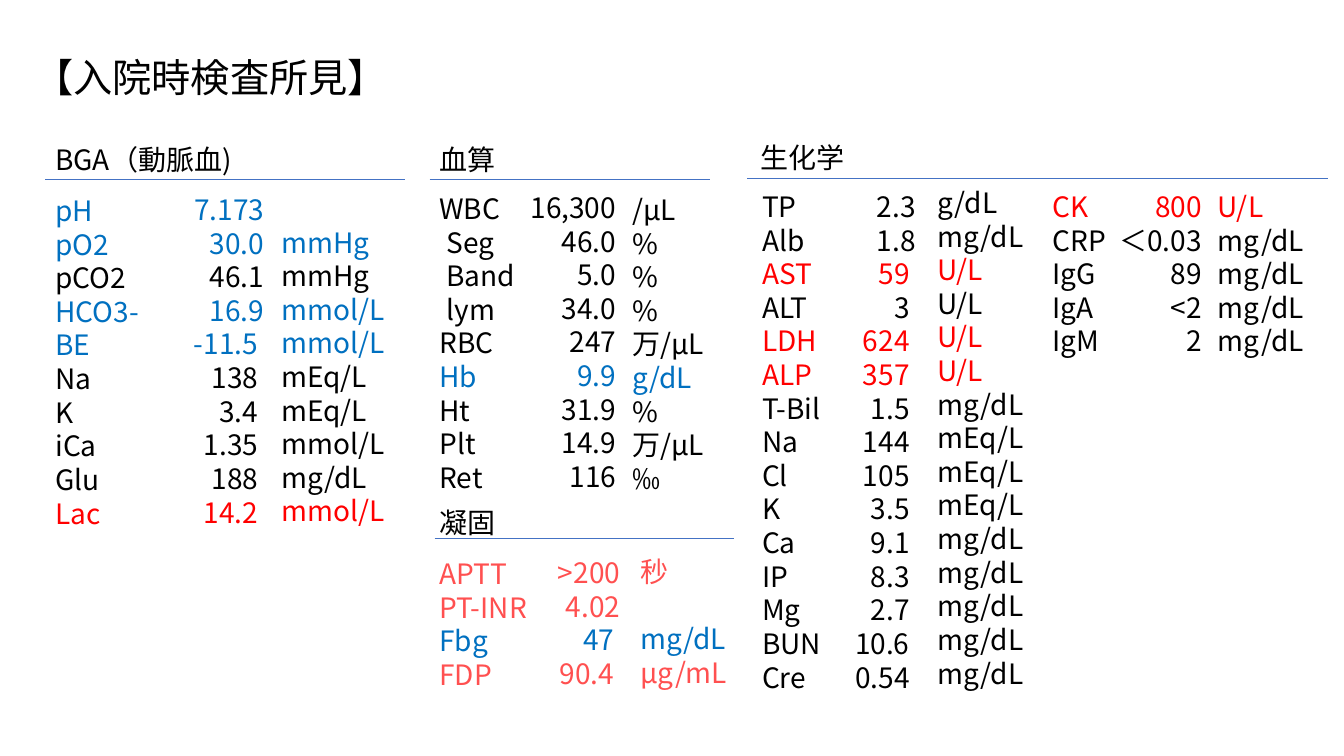
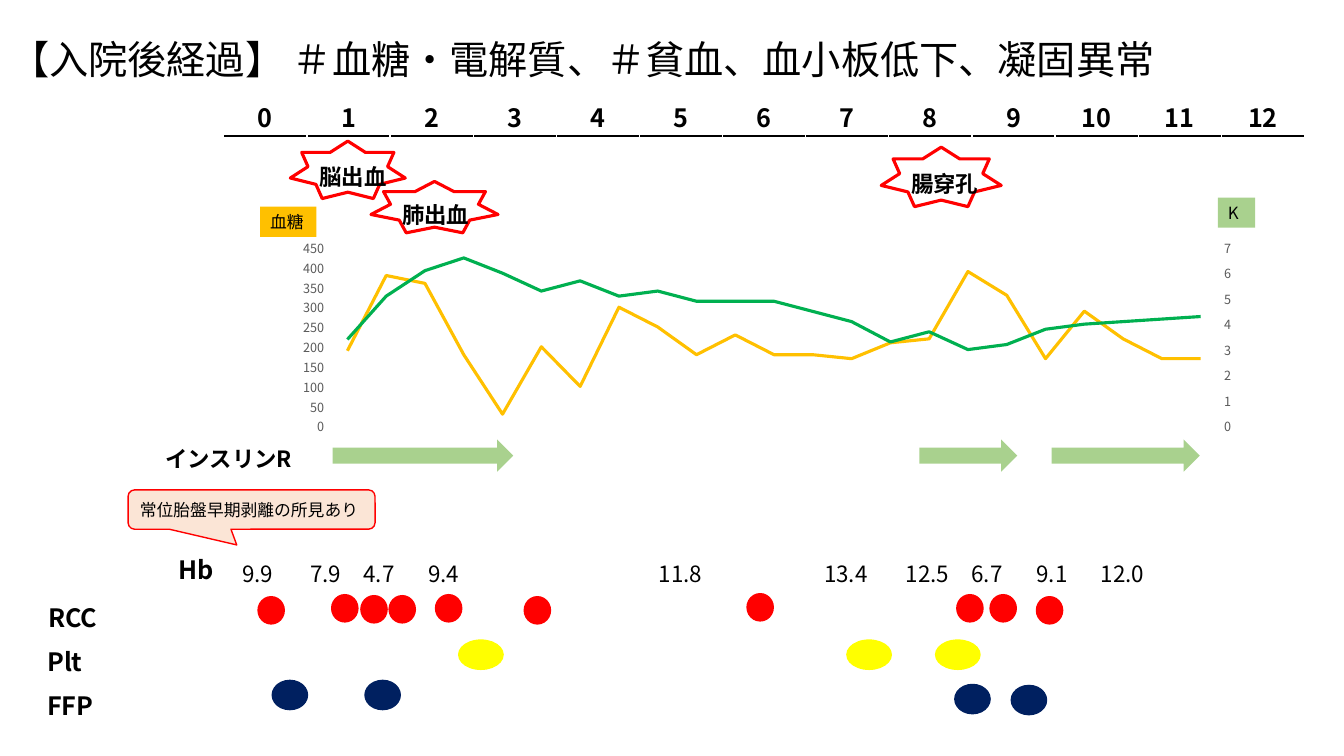
"""Build two clinical slides: laboratory findings on admission and the hospital course."""
from copy import deepcopy
from dataclasses import dataclass

from lxml import etree
from pptx import Presentation
from pptx.chart.data import CategoryChartData
from pptx.dml.color import RGBColor
from pptx.enum.chart import XL_CHART_TYPE, XL_TICK_MARK
from pptx.enum.shapes import MSO_CONNECTOR, MSO_SHAPE
from pptx.enum.text import MSO_ANCHOR, MSO_AUTO_SIZE, PP_ALIGN
from pptx.oxml import parse_xml
from pptx.oxml.ns import nsdecls, qn
from pptx.util import Inches, Pt

LEFT, CENTER, RIGHT = PP_ALIGN.LEFT, PP_ALIGN.CENTER, PP_ALIGN.RIGHT
TOP, MIDDLE, BOTTOM = MSO_ANCHOR.TOP, MSO_ANCHOR.MIDDLE, MSO_ANCHOR.BOTTOM
ELLIPSE, ARROW, STAR = MSO_SHAPE.OVAL, MSO_SHAPE.RIGHT_ARROW, MSO_SHAPE.STAR_7_POINT
RECTANGLE, CALLOUT = MSO_SHAPE.RECTANGLE, MSO_SHAPE.ROUNDED_RECTANGULAR_CALLOUT
STRAIGHT = MSO_CONNECTOR.STRAIGHT
LINE_CHART = XL_CHART_TYPE.LINE
NO_TICKS = XL_TICK_MARK.NONE
NO_RESIZE = MSO_AUTO_SIZE.NONE

FONT = "Noto Sans CJK JP"
BLACK, RED, CORAL, BLUE = "000000", "FF0000", "FF5050", "0070C0"
RULE_BLUE, NAVY, YELLOW = "4472C4", "002060", "FFFF00"
GREEN, LIGHT_GREEN, AMBER, PEACH, GREY = "00B050", "A9D18E", "FFC000", "FBE5D6", "595959"
LAB_SIZE = 20
LINE_PITCH = 1.2

Box = tuple[float, float, float, float]


@dataclass(frozen=True)
class Line:
    """One line of text with its colour, indents and skipped rows before it."""
    text: str
    color: str = BLACK
    indent: float = 0
    right_indent: float = 0
    skipped: int = 0


@dataclass(frozen=True)
class Test:
    """One laboratory result."""
    name: str
    value: str
    unit: str
    color: str = BLACK
    indent: float = 0
    right_indent: float = 0


@dataclass(frozen=True)
class Panel:
    """A group of results; each column is left, top, width."""
    names: tuple[float, float, float]
    values: tuple[float, float, float]
    units: tuple[float, float, float]
    tests: tuple[Test, ...]
    heading: str = ""
    heading_at: tuple[float, float] = (0, 0)
    rule: tuple[float, float, float] = (0, 0, 0)


@dataclass(frozen=True)
class Transfusion:
    """A blood product with the places of its units."""
    label: str
    label_at: tuple[float, float]
    color: str
    size: tuple[float, float]
    units: tuple[tuple[float, float], ...]


PANELS = (
    Panel((0.45, 1.86, 1.21), (1.28, 1.85, 1.44), (2.69, 1.84, 1.45), (
        Test("pH", "7.173", "", BLUE), Test("pO2", "30.0", "mmHg", BLUE),
        Test("pCO2", "46.1", "mmHg"), Test("HCO3-", "16.9", "mmol/L", BLUE),
        Test("BE", "-11.5", "mmol/L", BLUE, right_indent=0.06),
        Test("Na", "138", "mEq/L"), Test("K", "3.4", "mEq/L"),
        Test("iCa", "1.35", "mmol/L"), Test("Glu", "188", "mg/dL"),
        Test("Lac", "14.2", "mmol/L", RED),
    ), "BGA（動脈血)", (0.45, 1.35), (0.45, 4.02, 1.78)),
    Panel((4.26, 1.84, 1.2), (4.97, 1.83, 1.24), (6.17, 1.85, 1.48), (
        Test("WBC", "16,300", "/μL"), Test("Seg", "46.0", "%", indent=0.07),
        Test("Band", "5.0", "%", indent=0.07), Test("lym", "34.0", "%", indent=0.07),
        Test("RBC", "247", "万/μL"), Test("Hb", "9.9", "g/dL", BLUE),
        Test("Ht", "31.9", "%"), Test("Plt", "14.9", "万/μL"), Test("Ret", "116", "‰"),
    ), "血算", (4.26, 1.35), (4.26, 7.04, 1.78)),
    Panel((4.26, 5.46, 1.2), (4.95, 5.45, 1.3), (6.25, 5.44, 1.55), (
        Test("APTT", ">200", "秒", CORAL), Test("PT-INR", "4.02", "", CORAL),
        Test("Fbg", "47", "mg/dL", BLUE, right_indent=0.06),
        Test("FDP", "90.4", "μg/mL", CORAL),
    ), "凝固", (4.26, 4.96), (4.31, 7.28, 5.34)),
    Panel((7.46, 1.82, 1.45), (8.24, 1.82, 0.94), (9.2, 1.78, 1.11), (
        Test("TP", "2.3", "g/dL"), Test("Alb", "1.8", "mg/dL"),
        Test("AST", "59", "U/L", RED, right_indent=0.06), Test("ALT", "3", "U/L"),
        Test("LDH", "624", "U/L", RED), Test("ALP", "357", "U/L", RED),
        Test("T-Bil", "1.5", "mg/dL"), Test("Na", "144", "mEq/L"),
        Test("Cl", "105", "mEq/L"), Test("K", "3.5", "mEq/L"),
        Test("Ca", "9.1", "mg/dL"), Test("IP", "8.3", "mg/dL"),
        Test("Mg", "2.7", "mg/dL"), Test("BUN", "10.6", "mg/dL"),
        Test("Cre", "0.54", "mg/dL"),
    ), "生化学", (7.44, 1.33), (7.41, 13.17, 1.77)),
    Panel((10.34, 1.82, 1.42), (10.92, 1.82, 1.1), (11.98, 1.82, 1.23), (
        Test("CK", "800", "U/L", RED), Test("CRP", "＜0.03", "mg/dL"),
        Test("IgG", "89", "mg/dL"), Test("IgA", "<2", "mg/dL"), Test("IgM", "2", "mg/dL"),
    )),
)

TRANSFUSIONS = (
    Transfusion("RCC", (0.38, 5.92), RED, (0.26, 0.27), (
        (2.56, 5.92), (3.29, 5.9), (3.58, 5.91), (3.86, 5.91), (4.32, 5.9),
        (5.2, 5.92), (7.41, 5.89), (9.49, 5.9), (9.82, 5.9), (10.28, 5.92))),
    Transfusion("Plt", (0.37, 6.35), YELLOW, (0.44, 0.29),
                ((4.55, 6.35), (8.4, 6.35), (9.28, 6.35))),
    Transfusion("FFP", (0.37, 6.79), NAVY, (0.35, 0.29),
                ((2.7, 6.75), (3.62, 6.75), (9.47, 6.79), (10.03, 6.8))),
)

EVENTS = (
    ("肺出血", (3.68, 1.8, 1.26, 0.51), (3.89, 1.94)),
    ("脳出血", (2.88, 1.4, 1.14, 0.57), (3.07, 1.56)),
    ("腸穿孔", (8.74, 1.46, 1.19, 0.59), (8.94, 1.63)),
)
INSULIN_PERIODS = ((3.3, 1.79), (9.12, 0.97), (10.43, 1.47))
HB_WIDTHS = (0.67, 1.21, 0.6, 0.83, 0.81, 0.82, 0.82, 0.82, 1.33, 0.61, 0.79, 0.57, 0.82)
HB_VALUES = ("9.9", "7.9　4.7", "9.4", "", "", "11.8", "", "13.4", "12.5　6.7", "9.1",
             "12.0", "", "")
GLUCOSE = (190, 380, 360, 180, 30, 200, 100, 300, 250, 180, 230, 180, 180, 170, 210, 220,
           390, 330, 170, 290, 220, 170, 170)
POTASSIUM = (3.4, 5.1, 6.1, 6.6, 6, 5.3, 5.7, 5.1, 5.3, 4.9, 4.9, 4.9, 4.5, 4.1, 3.3, 3.7,
             3, 3.2, 3.8, 4, 4.1, 4.2, 4.3)


def rgb(color: str) -> RGBColor:
    """Turn a hex string into a colour."""
    return RGBColor.from_string(color)


def inches(box: Box) -> list[Inches]:
    """Turn left, top, width and height into lengths."""
    return [Inches(length) for length in box]


def write(frame, lines: list[Line], size: int, align=LEFT, bold=False, anchor=TOP) -> None:
    """Fill a text frame with lines of one size on a fixed pitch."""
    frame.text = "\n".join(line.text for line in lines)
    for paragraph, line in zip(frame.paragraphs, lines):
        paragraph.alignment = align
        paragraph.line_spacing = Pt(size * LINE_PITCH)
        paragraph.space_before = Pt(line.skipped * size * LINE_PITCH)
        for side, indent in (("marL", line.indent), ("marR", line.right_indent)):
            if indent:
                paragraph._p.get_or_add_pPr().set(side, str(Inches(indent)))
        for run in paragraph.runs:
            run.font.size, run.font.bold, run.font.name = Pt(size), bold, FONT
            run.font.color.rgb = rgb(line.color)
            etree.SubElement(run._r.get_or_add_rPr(), qn("a:ea")).set("typeface", FONT)
    frame.word_wrap = True
    frame.auto_size = NO_RESIZE
    frame.vertical_anchor = anchor
    frame.margin_top = Inches(0.06 if anchor == TOP else 0)
    frame.margin_bottom = 0


def add_text(slide, box: Box, lines: list[Line], size: int, align=LEFT, bold=False) -> None:
    """Add a text box."""
    write(slide.shapes.add_textbox(*inches(box)).text_frame, lines, size, align, bold)


def add_titled_slide(deck, title: str, box: Box):
    """Add a slide with its title in the template's placeholder."""
    slide = deck.slides.add_slide(deck.slide_layouts[5])
    heading = slide.shapes.title
    heading.left, heading.top, heading.width, heading.height = inches(box)
    write(heading.text_frame, [Line(title)], 28)
    return slide


def add_figure(slide, kind, box: Box, fill: str = "", outline: str = "", width: float = 1):
    """Add a preset shape; an empty colour means none."""
    figure = slide.shapes.add_shape(kind, *inches(box))
    figure.shadow.inherit = False
    for part, color in ((figure.fill, fill), (figure.line.fill, outline)):
        if color:
            part.solid()
            part.fore_color.rgb = rgb(color)
        else:
            part.background()
    if outline:
        figure.line.width = Pt(width)
    return figure


def add_column(slide, column: tuple[float, float, float], lines: list[Line], align) -> None:
    """Add one column of results, leaving room where a line has no text."""
    left, top, width = column
    pitch = LAB_SIZE * LINE_PITCH / 72
    shown, skipped = [], 0
    for line in lines:
        if not line.text:
            skipped += 1
            continue
        if not shown:
            top, skipped = top + skipped * pitch, 0
        shown.append(Line(line.text, line.color, line.indent, line.right_indent, skipped))
        skipped = 0
    add_text(slide, (left, top, width, len(shown) * pitch + 0.1), shown, LAB_SIZE, align)


def add_panel(slide, panel: Panel) -> None:
    """Draw a group of results under its heading and rule."""
    if panel.heading:
        add_text(slide, (*panel.heading_at, 2.45, 0.44), [Line(panel.heading)], LAB_SIZE)
        start, end, height = (Inches(length) for length in panel.rule)
        rule = slide.shapes.add_connector(STRAIGHT, start, height, end, height)
        rule.line.color.rgb = rgb(RULE_BLUE)
        rule.line.width = Pt(0.5)
        etree.SubElement(rule.element.spPr, qn("a:effectLst"))
    tests = panel.tests
    add_column(slide, panel.names, [Line(t.name, t.color, t.indent) for t in tests], LEFT)
    add_column(slide, panel.values,
               [Line(t.value, t.color, 0, t.right_indent) for t in tests], RIGHT)
    add_column(slide, panel.units, [Line(t.unit, t.color) for t in tests], LEFT)


def add_timeline(slide, top: float, height: float, widths, texts, size: int,
                 bold=False, ruled=False) -> None:
    """Add a one-row table along the days."""
    box = (2.22, top, sum(widths), height)
    table = slide.shapes.add_table(1, len(texts), *inches(box)).table
    table.first_row = table.horz_banding = False
    table.rows[0].height = Inches(height)
    for column, width, cell, text in zip(table.columns, widths, table.rows[0].cells, texts):
        column.width = Inches(width)
        write(cell.text_frame, [Line(text)], size, CENTER, bold)
        cell.fill.background()
        cell.vertical_anchor = BOTTOM
        cell.margin_left = cell.margin_right = cell.margin_top = 0
        cell.margin_bottom = Inches(0.01)
        if ruled:
            cell._tc.get_or_add_tcPr().insert(0, parse_xml(
                f'<a:lnB {nsdecls("a")} w="{Pt(1)}"><a:solidFill>'
                f'<a:srgbClr val="{BLACK}"/></a:solidFill></a:lnB>'))


def add_right_axis(plot_area, maximum: float, step: float) -> None:
    """Move the second series to a value axis on the right."""
    left_plot = plot_area.find(qn("c:lineChart"))
    right_plot = deepcopy(left_plot)
    left_plot.remove(left_plot.findall(qn("c:ser"))[1])
    right_plot.remove(right_plot.find(qn("c:ser")))
    left_plot.addnext(right_plot)
    days, values = (deepcopy(plot_area.find(qn(tag))) for tag in ("c:catAx", "c:valAx"))
    ids = ("50010", "50020")
    for axis, own, other in ((days, *ids), (values, *reversed(ids))):
        axis.find(qn("c:axId")).set("val", own)
        axis.find(qn("c:crossAx")).set("val", other)
    for reference, axis_id in zip(right_plot.findall(qn("c:axId")), ids):
        reference.set("val", axis_id)
    for tag, value in (("c:scaling/c:max", maximum), ("c:majorUnit", step),
                       ("c:axPos", "r"), ("c:crosses", "max")):
        values.find("/".join(qn(name) for name in tag.split("/"))).set("val", str(value))
    plot_area.findall(qn("c:valAx"))[-1].addnext(values)
    values.addnext(days)


def add_course_chart(slide) -> None:
    """Draw glucose on the left axis and potassium on the right axis."""
    course = CategoryChartData()
    course.categories = [str(number + 1) for number in range(len(GLUCOSE))]
    course.add_series("血糖", GLUCOSE)
    course.add_series("K", POTASSIUM)
    box = inches((2.44, 2.1, 10.17, 2.24))
    chart = slide.shapes.add_chart(LINE_CHART, *box, course).chart
    chart.has_title = chart.has_legend = False
    chart.font.name, chart.font.size = FONT, Pt(9)
    chart.font.color.rgb = rgb(GREY)
    chart.plots[0].vary_by_categories = False
    for series, color in zip(chart.plots[0].series, (AMBER, GREEN)):
        series.smooth = False
        series.format.line.color.rgb = rgb(color)
        series.format.line.width = Pt(2.25)
    chart.category_axis.visible = False
    scale = chart.value_axis
    scale.minimum_scale, scale.maximum_scale, scale.major_unit = 0, 450, 50
    scale.has_major_gridlines = False
    scale.major_tick_mark = NO_TICKS
    scale.format.line.fill.background()
    plot_area = chart.element.chart.plotArea
    crosses = plot_area.find(qn("c:valAx")).find(qn("c:crosses"))
    if crosses.getparent().find(qn("c:crossBetween")) is None:
        crosses.addnext(parse_xml(f'<c:crossBetween {nsdecls("c")} val="between"/>'))
    for layout in plot_area.findall(qn("c:layout")):
        plot_area.remove(layout)
    places = (("layoutTarget", "inner"), ("xMode", "edge"), ("yMode", "edge"),
              ("x", 0.08), ("y", 0.16), ("w", 0.87), ("h", 0.79))
    settings = "".join(f'<c:{tag} val="{value}"/>' for tag, value in places)
    plot_area.insert(0, parse_xml(
        f'<c:layout {nsdecls("c")}><c:manualLayout>{settings}</c:manualLayout></c:layout>'))
    add_right_axis(plot_area, 7, 1)


def build_findings(deck) -> None:
    """Build the slide of laboratory findings."""
    slide = add_titled_slide(deck, "【入院時検査所見】", (0.24, 0.47, 12.76, 0.57))
    for panel in PANELS:
        add_panel(slide, panel)


def build_course(deck) -> None:
    """Build the slide of the hospital course."""
    slide = add_titled_slide(deck, "【入院後経過】 ＃血糖・電解質、＃貧血、血小板低下、凝固異常",
                             (0, 0.29, 12.94, 0.57))
    days = [str(day) for day in range(13)]
    add_timeline(slide, 0.93, 0.42, [10.72 / 13] * 13, days, 18, bold=True, ruled=True)
    add_course_chart(slide)
    for event, burst, label_at in EVENTS:
        add_figure(slide, STAR, burst, outline=RED, width=2.25)
        add_text(slide, (*label_at, 0.99, 0.4), [Line(event)], 16, bold=True)
    for label, box, color in (("血糖", (2.58, 2.05, 0.56, 0.3), AMBER),
                              ("K", (12.08, 1.96, 0.37, 0.3), LIGHT_GREEN)):
        key = add_figure(slide, RECTANGLE, box, color)
        write(key.text_frame, [Line(label)], 12, anchor=MIDDLE)
    add_text(slide, (1.16, 4.36, 2.22, 0.37), [Line("インスリンR")], 16, CENTER, True)
    for left, width in INSULIN_PERIODS:
        add_figure(slide, ARROW, (left, 4.36, width, 0.32), LIGHT_GREEN)
    finding = add_figure(slide, CALLOUT, (1.27, 4.86, 2.45, 0.39), PEACH, RED)
    finding.adjustments[0], finding.adjustments[1] = -0.06, 0.9
    write(finding.text_frame, [Line("常位胎盤早期剥離の所見あり")], 12, anchor=MIDDLE)
    finding.text_frame.margin_right = 0
    add_text(slide, (1.67, 5.44, 0.77, 0.4), [Line("Hb")], 18, bold=True)
    add_timeline(slide, 5.48, 0.37, HB_WIDTHS, HB_VALUES, 16)
    for product in TRANSFUSIONS:
        add_text(slide, (*product.label_at, 1.01, 0.41), [Line(product.label)], 18, bold=True)
        for place in product.units:
            add_figure(slide, ELLIPSE, (*place, *product.size), product.color, product.color)


def main() -> None:
    """Build and save the presentation."""
    deck = Presentation()
    deck.slide_width, deck.slide_height = Inches(13.33), Inches(7.5)
    build_findings(deck)
    build_course(deck)
    deck.save("out.pptx")


if __name__ == "__main__":
    main()
